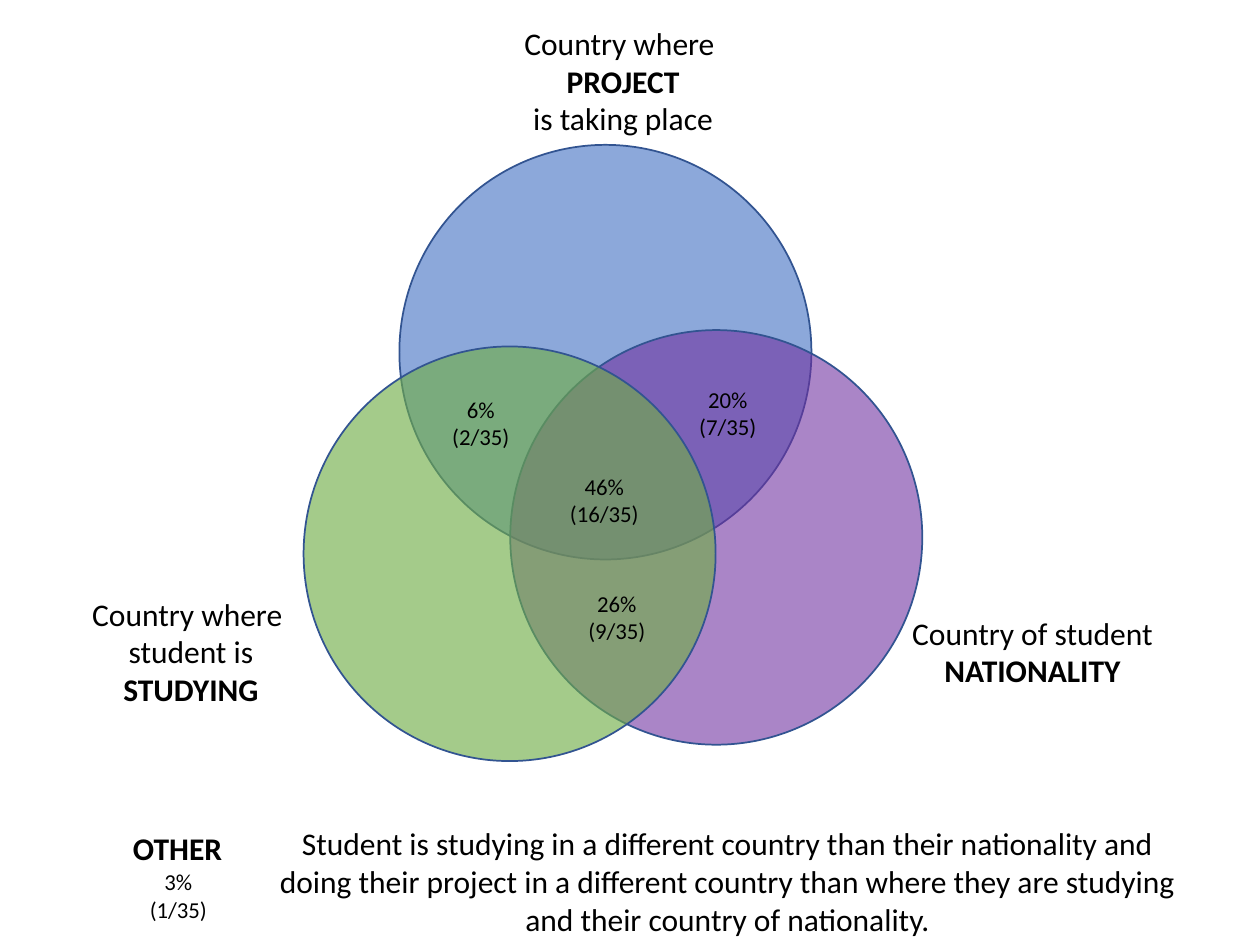
import pptx
import pptx.util
import pptx.dml.color
import pptx.enum.shapes
import pptx.enum.text
import pptx.oxml
import pptx.oxml.ns
import lxml.etree

RGBColor = pptx.dml.color.RGBColor
BLUE = RGBColor(0x44, 0x72, 0xC4)
PURPLE = RGBColor(0x70, 0x30, 0xA0)
GREEN = RGBColor(0x70, 0xAD, 0x47)
OUTLINE = RGBColor(0x32, 0x54, 0x91)
BLACK = RGBColor(0, 0, 0)

FONT = "Calibri"
LABEL_SIZE, SHARE_SIZE = 18, 13
CIRCLE_WIDTH, CIRCLE_HEIGHT = 3.27, 3.29
SHARE_WIDTH, SHARE_HEIGHT = 1.05, 0.54
STUDENTS = 35

# Circles, back to front: left, top, colour, opacity in percent
CIRCLES = [
    (3.17, 1.15, BLUE, 61),
    (4.05, 2.62, PURPLE, 59),
    (2.41, 2.75, GREEN, 63),
]

# Shares of students: left, top, count
SHARES = [
    (4.27, 3.70, 16),
    (3.29, 3.09, 2),
    (5.25, 3.01, 7),
    (4.37, 4.63, 9),
    (0.89, 6.84, 1),
]

# Labels: box, lines, wrapping; lines in capitals are bold
LABELS = [
    ((4.05, 0.14, 1.79, 1.01), ["Country where ", "PROJECT", "is taking place"], False),
    ((7.13, 4.82, 2.13, 0.71), ["Country of student", "NATIONALITY"], False),
    ((0.62, 4.67, 1.79, 1.01), ["Country where ", "student is", "STUDYING"], False),
    ((1.99, 6.49, 7.57, 1.01), [
        "Student is studying in a different country than their nationality and "
        "doing their project in a different country than where they are studying "
        "and their country of nationality."], True),
    ((0.68, 6.53, 1.46, 0.40), ["OTHER"], True),
]


def inches(*lengths):
    return [pptx.util.Inches(length) for length in lengths]


def add_circle(slide, left, top, colour, opacity):
    circle = slide.shapes.add_shape(
        pptx.enum.shapes.MSO_SHAPE.OVAL,
        *inches(left, top, CIRCLE_WIDTH, CIRCLE_HEIGHT))
    circle.shadow.inherit = False
    circle.fill.solid()
    circle.fill.fore_color.rgb = colour
    circle.line.color.rgb = OUTLINE
    circle.line.width = pptx.util.Pt(1)
    fill_colour = circle.fill._xPr.find(
        "/".join(pptx.oxml.ns.qn(tag) for tag in ("a:solidFill", "a:srgbClr")))
    alpha = lxml.etree.SubElement(fill_colour, pptx.oxml.ns.qn("a:alpha"))
    alpha.set("val", str(opacity * 1000))


def add_text(slide, box, lines, size, wrap=True):
    text_frame = slide.shapes.add_textbox(*inches(*box)).text_frame
    text_frame.word_wrap = wrap
    text_frame.auto_size = pptx.enum.text.MSO_AUTO_SIZE.SHAPE_TO_FIT_TEXT
    text_frame.text = "\n".join(lines)
    for paragraph in text_frame.paragraphs:
        paragraph.alignment = pptx.enum.text.PP_ALIGN.CENTER
        for run in paragraph.runs:
            run.font.name = FONT
            run.font.size = pptx.util.Pt(size)
            run.font.color.rgb = BLACK
            run.font.bold = run.text.isupper()


def main():
    presentation = pptx.Presentation()
    presentation.slide_width, presentation.slide_height = inches(10, 7.5)
    slide = presentation.slides.add_slide(presentation.slide_layouts[6])

    # Venn diagram
    for circle in CIRCLES:
        add_circle(slide, *circle)

    # Percentages with their counts
    for left, top, count in SHARES:
        lines = [f"{count / STUDENTS:.0%}", f"({count}/{STUDENTS})"]
        add_text(slide, (left, top, SHARE_WIDTH, SHARE_HEIGHT), lines, SHARE_SIZE)

    # Circle names and the note on the remaining students
    for box, lines, wrap in LABELS:
        add_text(slide, box, lines, LABEL_SIZE, wrap)

    presentation.save("out.pptx")


if __name__ == "__main__":
    main()
